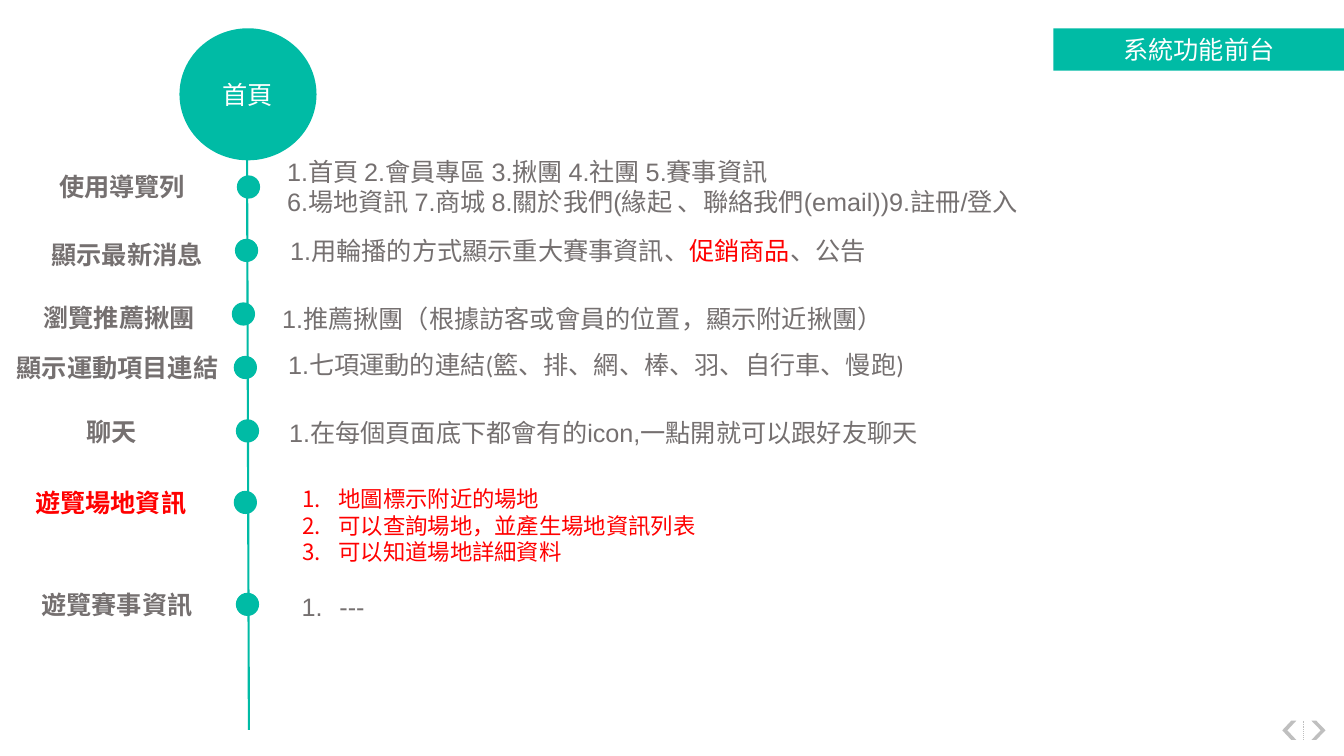
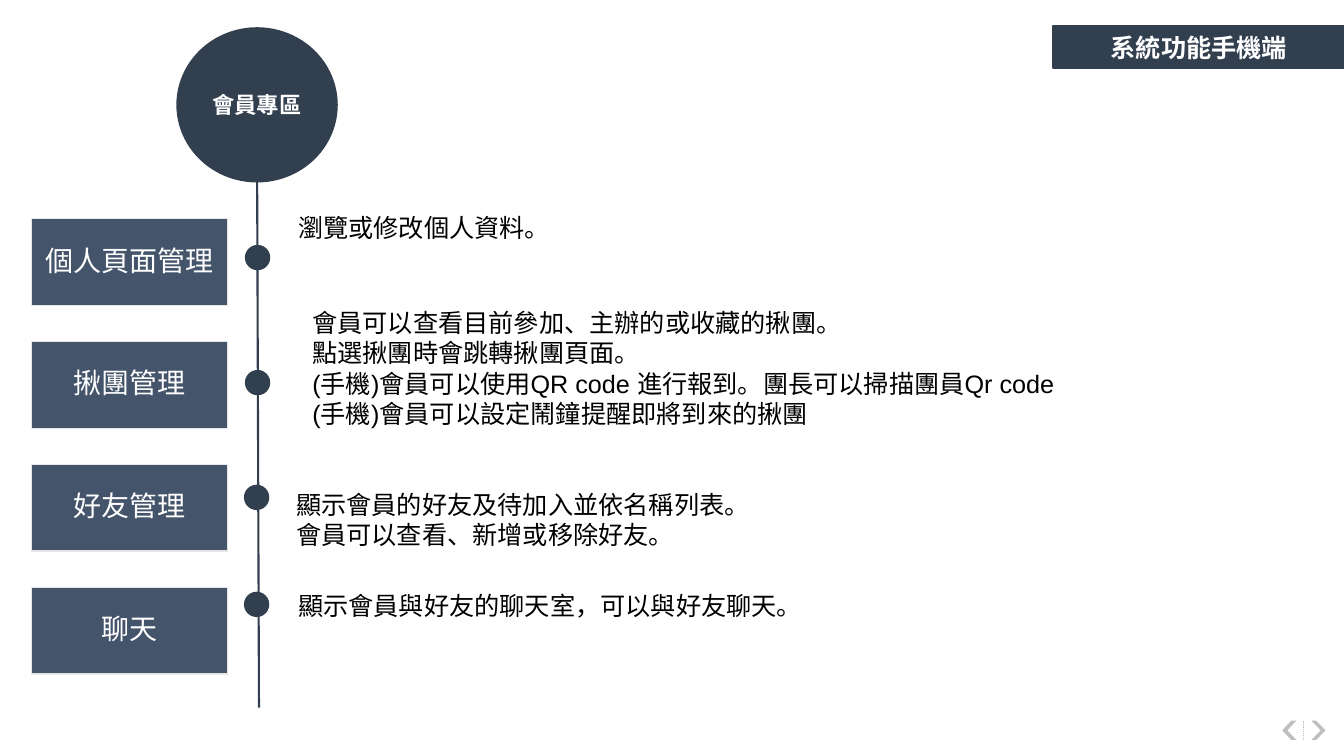
from lxml.etree import SubElement
from pptx import Presentation
from pptx.dml.color import RGBColor
from pptx.enum.dml import MSO_LINE
from pptx.enum.shapes import MSO_CONNECTOR, MSO_SHAPE as Preset
from pptx.enum.text import MSO_ANCHOR as Anchor, PP_ALIGN as Align
from pptx.oxml.ns import qn
from pptx.util import Pt

FONT = "Arial"
TEAL, NAVY, SLATE = "00BBA5", "323F4F", "44546A"
GREY, SILVER, PALE = "757070", "BFBFBF", "E7E6E6"
RED, WHITE, BLACK = "FF0000", "FFFFFF", "000000"
DOT = 16.6


def rgb(code):
    """Turn a hex string into a colour."""
    return RGBColor.from_string(code)


def number_para(para, color, hanging):
    """Give a paragraph an automatic number with a hanging indent."""
    props = para._p.get_or_add_pPr()
    props.set("marL", str(Pt(36)))
    props.set("indent", str(-Pt(hanging)))
    SubElement(SubElement(props, qn("a:buClr")), qn("a:srgbClr"), val=color)
    SubElement(props, qn("a:buFont"), typeface="+mj-lt")
    SubElement(props, qn("a:buAutoNum"), type="arabicPeriod")


def write(shape, lines, color, size=18, bold=False, align=Align.LEFT,
          anchor=Anchor.TOP, margins=(7.2, 3.6), hanging=0, spacing=None):
    """Fill a shape with lines, each a string or a list of (text, color, font)."""
    frame = shape.text_frame
    frame.word_wrap = True
    frame.vertical_anchor = anchor
    frame.margin_left = frame.margin_right = Pt(margins[0])
    frame.margin_top = frame.margin_bottom = Pt(margins[1])
    for index, line in enumerate(lines):
        para = frame.add_paragraph() if index else frame.paragraphs[0]
        para.alignment = align
        if spacing:
            para.line_spacing = spacing
        if hanging:
            number_para(para, color, hanging)
        para.font.size, para.font.bold = Pt(size), bold
        if isinstance(line, str):
            para.text = line
            para.font.name = FONT
            para.font.color.rgb = rgb(color)
            continue
        for text, span_color, font in line:
            span = para.add_run()
            span.text = text
            span.font.name = font
            span.font.color.rgb = rgb(span_color)


def add_text(page, box, lines, color, **style):
    """Add a text box."""
    write(page.shapes.add_textbox(*map(Pt, box)), lines, color, **style)


def add_preset(shapes, preset, box, fill, line=None, weight=1.5):
    """Add a flat preset shape, outlined only when a line colour is given."""
    shape = shapes.add_shape(preset, *map(Pt, box))
    shape.shadow.inherit = False
    shape.fill.solid()
    shape.fill.fore_color.rgb = rgb(fill)
    if line:
        shape.line.color.rgb = rgb(line)
        shape.line.width = Pt(weight)
    else:
        shape.line.fill.background()
    return shape


def add_line(shapes, ends, color, weight):
    """Add a straight line without a shadow."""
    line = shapes.add_connector(MSO_CONNECTOR.STRAIGHT, *map(Pt, ends))
    line.line.color.rgb = rgb(color)
    line.line.width = Pt(weight)
    SubElement(line._element.spPr, qn("a:effectLst"))
    return line


def add_pager(page, left, top):
    """Draw the grey back and forward arrows of the footer."""
    shapes = page.shapes.add_group_shape().shapes
    for offset, turn, depth in ((20.9, 0, 0.66), (0, 180, 0.64)):
        arrow = add_preset(shapes, Preset.CHEVRON, (left + offset, top, 10, 13.7), SILVER)
        arrow.adjustments[0] = depth
        arrow.rotation = turn
    middle = left + 15.2
    divider = add_line(shapes, (middle, top + 13.7, middle, top), SILVER, 0.75)
    divider.line.dash_style = MSO_LINE.ROUND_DOT


def add_timeline(deck, title, title_top, hub, hub_box, hub_size, rail, color, line, bold):
    """Start a page with its title band, hub circle, rail and footer."""
    page = deck.slides.add_slide(deck.slide_layouts[6])
    add_pager(page, 915.9, 514.8)
    add_line(page.shapes, rail, color, 1.5)
    centred = dict(bold=bold, align=Align.CENTER, anchor=Anchor.MIDDLE)
    circle = add_preset(page.shapes, Preset.OVAL, hub_box, color, line)
    write(circle, [hub], WHITE, size=hub_size, **centred)
    band = add_preset(page.shapes, Preset.RECTANGLE, (752.4, title_top, 208, 30.2), color, line)
    write(band, [title], WHITE, **centred)
    return page


def add_dot(page, left, top, color, line=None):
    """Mark a stop on the rail."""
    add_preset(page.shapes, Preset.OVAL, (left, top, DOT, DOT), color, line)


def add_feature(page, left, top, label, label_box, lines, detail_box, color=GREY, **style):
    """Add a stop with a bold label on its left and details on its right."""
    add_dot(page, left, top, TEAL)
    label_left, label_drop, label_width = label_box
    add_text(page, (label_left, top + label_drop, label_width, 28.8), [label], color,
             bold=True, align=Align.CENTER, anchor=Anchor.MIDDLE)
    detail_left, detail_drop, width, height = detail_box
    add_text(page, (detail_left, top + detail_drop, width, height), lines, color, **style)


def add_front_page(deck):
    """Build the page on the functions of the home page."""
    page = add_timeline(deck, "系統功能前台", 20.2, "首頁", (128.2, 20.2, 97.9, 94.3), 18,
                        (176.4, 92.2, 177.8, 521.3), TEAL, None, False)
    add_feature(page, 169.2, 125.3, "使用導覽列", (27.4, -6.5, 119.5),
                ["1.首頁 2.會員專區 3.揪團 4.社團 5.賽事資訊",
                 "6.場地資訊 7.商城 8.關於我們(緣起 、聯絡我們(email))9.註冊/登入"],
                (198, -17.3, 688.3, 50.4))
    add_feature(page, 167.8, 170.6, "顯示最新消息", (27.4, -3.5, 126.7),
                [[("1.用輪播的方式顯示重大賽事資訊、", GREY, FONT),
                  ("促銷商品", RED, FONT), ("、公告", GREY, FONT)]],
                (200.2, -6.4, 551.5, 36.7))
    add_feature(page, 165.6, 216, "瀏覽推薦揪團", (21.8, -3.5, 126.7),
                ["1.推薦揪團（根據訪客或會員的位置，顯示附近揪團）"],
                (194.4, -2.9, 657.4, 26.6))
    add_feature(page, 167, 254.2, "顯示運動項目連結", (0, -5.8, 167.8),
                [[("1.七項運動的連結", GREY, FONT),
                  ("(籃、排、網、棒、羽、自行車、慢跑)", GREY, "Calibri")]],
                (198.7, -8, 696.2, 36.7))
    add_feature(page, 168.5, 299.5, "聊天", (20.2, -5.7, 119.5),
                ["1.在每個頁面底下都會有的icon,一點開就可以跟好友聊天"],
                (199.4, -5, 469.4, 28.8))
    add_feature(page, 167, 350.6, "遊覽場地資訊", (15.8, -6.4, 126.7),
                ["地圖標示附近的場地", "可以查詢場地，並產生場地資訊列表", "可以知道場地詳細資料"],
                (198.7, -7.9, 696.2, 65.5), RED, size=16, hanging=26)
    add_feature(page, 168.5, 423.4, "遊覽賽事資訊", (20.2, -5.8, 126.7), ["---"],
                (199.4, -4.4, 469.4, 28.8), hanging=27)


def add_button(page, left, top, label):
    """Add a button with a pale rim."""
    button = add_preset(page.shapes, Preset.RECTANGLE, (left, top, 140.4, 61.9), SLATE, PALE, 1)
    write(button, [label], WHITE, size=20, align=Align.CENTER, anchor=Anchor.MIDDLE,
          margins=(0.7, 0.7), spacing=0.9)


def add_member_page(deck):
    """Build the page on the functions of the member area."""
    page = add_timeline(deck, "系統功能手機端", 18.7, "會員專區", (126.7, 20.2, 113.8, 109.4), 16,
                        (183.6, 105.8, 185, 505.4), NAVY, NAVY, True)
    sections = [
        ("個人頁面管理", (175.7, 175.7), (205.9, 144.7, 455.8, 67.7), ["瀏覽或修改個人資料。"]),
        ("揪團管理", (175.7, 265), (216, 212.4, 633.6, 109.4),
         ["會員可以查看目前參加、主辦的或收藏的揪團。",
          "點選揪團時會跳轉揪團頁面。",
          "(手機)會員可以使用QR code 進行報到。團長可以掃描團員Qr code\n"
          "(手機)會員可以設定鬧鐘提醒即將到來的揪團"]),
        ("好友管理", (175, 347), (204.5, 342, 455.8, 67.7),
         ["顯示會員的好友及待加入並依名稱列表。", "會員可以查看、新增或移除好友。"]),
        ("聊天", (175, 423.4), (205.9, 414.7, 455.8, 67.7),
         ["顯示會員與好友的聊天室，可以與好友聊天。"]),
    ]
    for index, (label, dot, detail_box, lines) in enumerate(sections):
        add_dot(page, *dot, NAVY, NAVY)
        add_button(page, 22.3, 156.2 + 87.8 * index, label)
        add_text(page, detail_box, lines, BLACK, margins=(7.2, 7.2))


def main():
    """Build and save the deck."""
    deck = Presentation()
    deck.slide_width, deck.slide_height = Pt(960), Pt(540)
    add_front_page(deck)
    add_member_page(deck)
    deck.save("out.pptx")


if __name__ == "__main__":
    main()
